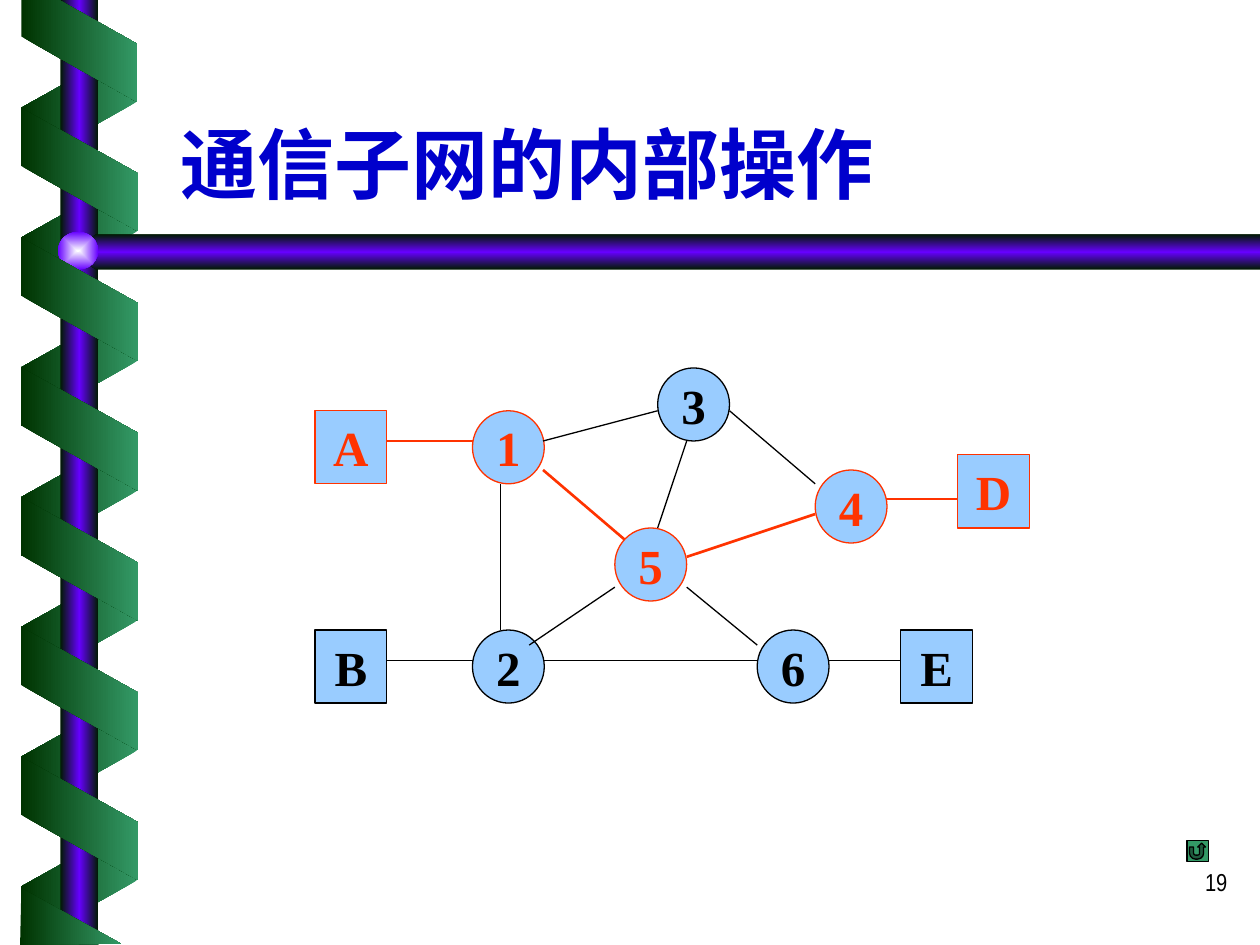
from lxml.etree import SubElement
from pptx import Presentation
from pptx.dml.color import RGBColor
from pptx.enum.shapes import MSO_CONNECTOR, MSO_SHAPE
from pptx.enum.text import MSO_ANCHOR, PP_ALIGN
from pptx.oxml.ns import qn
from pptx.util import Inches, Pt

COLORS = {
    "title": "0000CC", "black": "000000", "route": "FF3300", "node": "99CCFF",
    "leaf": "339966", "forest": "003300", "shade": "001A00", "violet": "6600FF",
    "glow": "FEFFFF",
}
RIBBON = ["forest", "leaf"]
TUBE = ["shade", "violet", "shade"]
NODE_WIDTH, NODE_HEIGHT = 0.57, 0.58
RIBBON_STEP = 1.03

# label: (left, top, on the route)
HOSTS = {"A": (2.5, 3.26, True), "B": (2.5, 5, False),
         "D": (7.6, 3.61, True), "E": (7.15, 5, False)}
ROUTERS = {"1": (3.75, 3.26, True), "2": (3.75, 5, False), "3": (5.22, 2.92, False),
           "4": (6.47, 3.73, True), "5": (4.88, 4.19, True), "6": (6.01, 5, False)}
ROUTE_LINKS = [(3.07, 3.5, 3.75, 3.5), (4.31, 3.73, 4.99, 4.31),
               (5.45, 4.42, 6.47, 4.08), (7.03, 3.96, 7.6, 3.96)]
OTHER_LINKS = [(3.07, 5.24, 3.75, 5.24), (4.31, 3.5, 5.22, 3.26),
               (6.58, 5.24, 7.15, 5.24), (4.31, 5.24, 6.01, 5.24),
               (5.79, 3.26, 6.47, 3.84), (5.45, 4.66, 6.01, 5.12),
               (3.97, 3.84, 3.97, 5), (4.2, 5.12, 4.88, 4.66),
               (5.45, 3.5, 5.22, 4.19)]


def rgb(name):
    return RGBColor.from_string(COLORS[name])


def style_font(paragraph, face, size, color, bold=False):
    for run in paragraph.runs:
        font = run.font
        font.name, font.size, font.bold = face, Pt(size), bold
        font.color.rgb = rgb(color)


def fill_gradient(shape, names, angle=0, radial=False):
    """Fill with evenly spaced stops that stay put when the shape is rotated."""
    shape.shadow.inherit = False
    shape.line.fill.background()
    shape.fill.background()
    properties = shape.element.spPr
    gradient = SubElement(properties, qn("a:gradFill"), rotWithShape="0")
    stops = SubElement(gradient, qn("a:gsLst"))
    for index, name in enumerate(names):
        position = str(100000 * index // (len(names) - 1))
        stop = SubElement(stops, qn("a:gs"), pos=position)
        SubElement(stop, qn("a:srgbClr"), val=COLORS[name])
    if radial:
        path = SubElement(gradient, qn("a:path"), path="rect")
        SubElement(path, qn("a:fillToRect"), l="50000", t="50000", r="50000", b="50000")
    else:
        SubElement(gradient, qn("a:lin"), ang=str(angle * 60000), scaled="1")
    properties.replace(properties.find(qn("a:noFill")), gradient)


def add_preset(slide, kind, left, top, width, height):
    return slide.shapes.add_shape(
        kind, Inches(left), Inches(top), Inches(width), Inches(height))


def add_ribbon(slide, top, height, front):
    ribbon = add_preset(slide, MSO_SHAPE.PARALLELOGRAM, 0.14, top, 0.98, height)
    ribbon.adjustments[0] = 0.56
    ribbon.rotation = 270 if front else 90
    if not front:
        ribbon.element.spPr.xfrm.set("flipH", "1")
    fill_gradient(ribbon, RIBBON if front else RIBBON[::-1])


def add_outline(slide, points, names, angle=0):
    start, *others = [(Inches(x), Inches(y)) for x, y in points]
    builder = slide.shapes.build_freeform(*start)
    builder.add_line_segments(others, close=True)
    fill_gradient(builder.convert_to_shape(), names, angle)


def add_decoration(slide):
    for turn in range(7):
        add_ribbon(slide, 0.37 + turn * RIBBON_STEP, 0.92, front=False)
    fill_gradient(add_preset(slide, MSO_SHAPE.RECTANGLE, 0.48, 0, 0.3, 7.5), TUBE)
    add_outline(slide, [(10, 1.86), (0.76, 1.86), (0.6, 2), (0.76, 2.14), (10, 2.14)],
                TUBE, 90)
    knob = add_preset(slide, MSO_SHAPE.OVAL, 0.46, 1.84, 0.32, 0.3)
    fill_gradient(knob, ["glow", "violet"], radial=True)
    for turn in range(6):
        add_ribbon(slide, 0.88 + turn * RIBBON_STEP, 0.93, front=True)
    add_outline(slide, [(0.17, 0), (0.17, 0.29), (1.09, 0.81), (1.09, 0.35), (0.47, 0)],
                RIBBON)
    add_outline(slide, [(0.96, 7.49), (0.17, 7.05), (0.16, 7.5)], RIBBON)


def add_title(slide, text):
    title = slide.shapes.title
    title.left, title.top = Inches(1.33), Inches(0.46)
    title.width, title.height = Inches(8.5), Inches(1.25)
    frame = title.text_frame
    frame.text = text
    frame.vertical_anchor = MSO_ANCHOR.BOTTOM
    frame.paragraphs[0].alignment = PP_ALIGN.LEFT
    style_font(frame.paragraphs[0], "Arial Narrow", 44, "title", bold=True)


def add_node(slide, kind, label, left, top, on_route):
    color = "route" if on_route else "black"
    node = add_preset(slide, kind, left, top, NODE_WIDTH, NODE_HEIGHT)
    node.shadow.inherit = False
    node.fill.solid()
    node.fill.fore_color.rgb = rgb("node")
    node.line.color.rgb = rgb(color)
    node.line.width = Pt(0.75)
    frame = node.text_frame
    frame.text = label
    frame.word_wrap = False
    frame.vertical_anchor = MSO_ANCHOR.MIDDLE
    frame.paragraphs[0].alignment = PP_ALIGN.CENTER
    style_font(frame.paragraphs[0], "Times New Roman", 28, color, bold=True)


def add_link(slide, ends, color, width):
    link = slide.shapes.add_connector(MSO_CONNECTOR.STRAIGHT, *map(Inches, ends))
    link.line.color.rgb = rgb(color)
    link.line.width = Pt(width)
    SubElement(link.element.spPr, qn("a:effectLst"))


def add_network(slide):
    for ends in ROUTE_LINKS:
        add_link(slide, ends, "route", 1.5)
    for kind, nodes in ((MSO_SHAPE.RECTANGLE, HOSTS), (MSO_SHAPE.OVAL, ROUTERS)):
        for label, place in nodes.items():
            add_node(slide, kind, label, *place)
    for ends in OTHER_LINKS:
        add_link(slide, ends, "black", 0.75)


def add_return_button(slide):
    button = add_preset(slide, MSO_SHAPE.ACTION_BUTTON_RETURN, 9.42, 6.67, 0.17, 0.17)
    button.shadow.inherit = False
    button.fill.solid()
    button.fill.fore_color.rgb = rgb("leaf")
    button.line.color.rgb = rgb("black")
    button.line.width = Pt(0.75)


def add_page_number(slide, number):
    box = slide.shapes.add_textbox(Inches(7.76), Inches(6.83), Inches(2.08), Inches(0.5))
    frame = box.text_frame
    frame.word_wrap = True
    frame.text = number
    frame.paragraphs[0].alignment = PP_ALIGN.RIGHT
    style_font(frame.paragraphs[0], "Arial Narrow", 14, "black")


def main():
    deck = Presentation()
    deck.slide_width, deck.slide_height = Inches(10), Inches(7.5)
    slide = deck.slides.add_slide(deck.slide_layouts[5])
    add_decoration(slide)
    add_title(slide, "通信子网的内部操作")
    add_network(slide)
    add_return_button(slide)
    add_page_number(slide, "19")
    deck.save("out.pptx")


if __name__ == "__main__":
    main()
